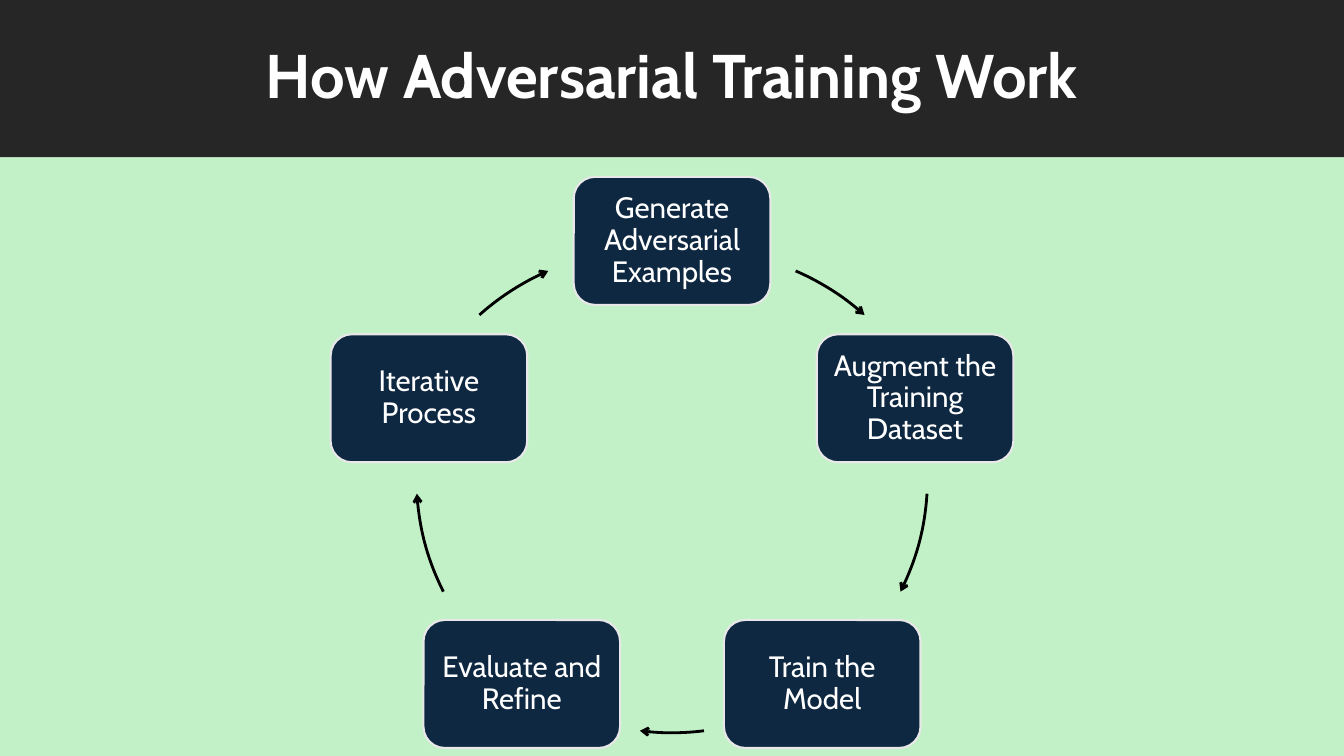
from math import cos, radians, sin

from lxml import etree
from pptx import Presentation
from pptx.dml.color import RGBColor
from pptx.enum.shapes import MSO_SHAPE
from pptx.enum.text import MSO_ANCHOR, PP_ALIGN
from pptx.oxml.ns import qn
from pptx.util import Inches, Pt

RECTANGLE = MSO_SHAPE.RECTANGLE
ROUNDED = MSO_SHAPE.ROUNDED_RECTANGLE
ARC = MSO_SHAPE.ARC
MIDDLE = MSO_ANCHOR.MIDDLE
CENTER = PP_ALIGN.CENTER

FONT = "Cabin"
COLOURS = {
    "background": "C2F1C8",
    "banner": "262626",
    "step": "0E2841",
    "outline": "E8E8E8",
    "arrow": "000000",
    "text": "FFFFFF",
}
STEPS = [
    "Generate Adversarial Examples",
    "Augment the Training Dataset",
    "Train the Model",
    "Evaluate and Refine",
    "Iterative Process",
]
STEP_WIDTH, STEP_HEIGHT = 1.95, 1.27
TOP_STEP_DROP = 0.19
ARROWS = [
    (0.22, 0.28, 23.4, 41.8),
    (0, 0, 93.7, 116.6),
    (0, 0, 172.8, 187.2),
    (0, 0, 243.4, 266.3),
    (-0.22, 0.28, 318.2, 336.6),
]


def colour(name):
    """Return the named colour."""
    return RGBColor.from_string(COLOURS[name])


def add_block(page, kind, box, fill):
    """Add a filled shape without shadow or outline."""
    shape = page.shapes.add_shape(kind, *[Inches(length) for length in box])
    shape.shadow.inherit = False
    shape.fill.solid()
    shape.fill.fore_color.rgb = colour(fill)
    shape.line.fill.background()
    return shape


def write_label(shape, words, size, bold=False):
    """Write one centred paragraph in a shape."""
    frame = shape.text_frame
    frame.word_wrap = True
    frame.vertical_anchor = MIDDLE
    frame.margin_left = frame.margin_right = Inches(0.09)
    frame.margin_top = frame.margin_bottom = Inches(0.09)
    para = frame.paragraphs[0]
    para.alignment = CENTER
    para.line_spacing = 0.9
    span = para.add_run()
    span.text = words
    span.font.name = FONT
    span.font.size = Pt(size)
    span.font.bold = bold
    span.font.color.rgb = colour("text")


def add_banner(page, box, title):
    """Add the dark title band."""
    write_label(add_block(page, RECTANGLE, box, "banner"), title, 44, True)


def add_step(page, box, words):
    """Add one rounded step of the cycle."""
    step = add_block(page, ROUNDED, box, "step")
    step.line.color.rgb = colour("outline")
    step.line.width = Pt(1.5)
    write_label(step, words, 21)


def add_arrow(page, box, start, end):
    """Add a clockwise arc arrow on the circle in box, with angles from the top."""
    arrow = page.shapes.add_shape(ARC, *[Inches(length) for length in box])
    arrow.shadow.inherit = False
    arrow.fill.background()
    arrow.line.color.rgb = colour("arrow")
    arrow.line.width = Pt(2)
    for index, angle in enumerate((start, end)):
        arrow.adjustments[index] = (angle - 90) % 360 * 0.6
    line = arrow.line._get_or_add_ln()
    etree.SubElement(line, qn("a:tailEnd"), type="arrow")


def add_cycle(page, box):
    """Place the steps and arrows around the circle that fills box."""
    left, top, width, height = box
    radius = width / 2
    for index, (words, arrow) in enumerate(zip(STEPS, ARROWS)):
        angle = radians(index * 360 / len(STEPS))
        x = left + radius + radius * sin(angle) - STEP_WIDTH / 2
        y = top + radius - radius * cos(angle) - STEP_HEIGHT / 2
        drop = 0 if index else TOP_STEP_DROP
        add_step(page, (x, y + drop, STEP_WIDTH, STEP_HEIGHT), words)
        shift_x, shift_y, start, end = arrow
        add_arrow(page, (left + shift_x, top + shift_y, width, height), start, end)


def main():
    """Build and save the slide."""
    deck = Presentation()
    deck.slide_width, deck.slide_height = Inches(13.33), Inches(7.5)
    page = deck.slides.add_slide(deck.slide_layouts[6])
    page.background.fill.solid()
    page.background.fill.fore_color.rgb = colour("background")
    add_banner(page, (0, 0, 13.33, 1.56), "How Adversarial Training Work")
    add_cycle(page, (4.13, 2.2, 5.07, 5.07))
    deck.save("out.pptx")


if __name__ == "__main__":
    main()
